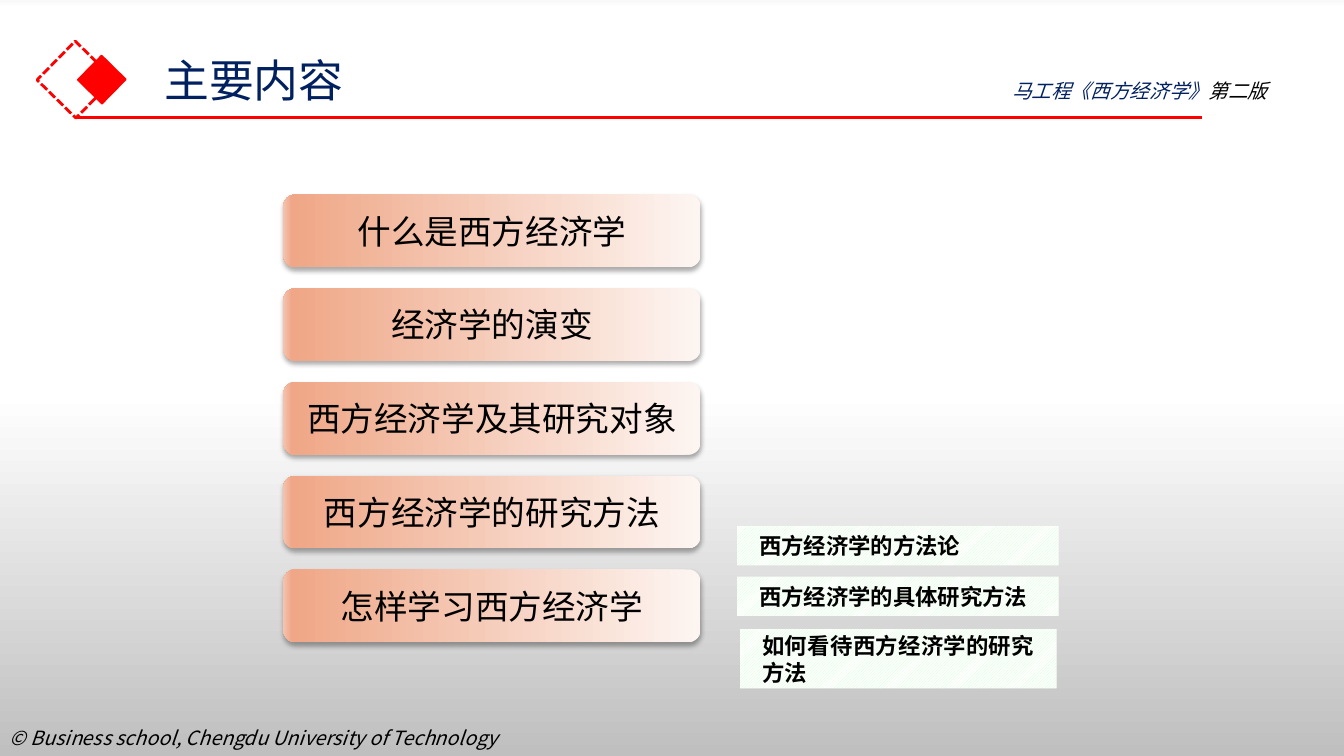
from lxml import etree
from pptx import Presentation
from pptx import util as u
from pptx.dml.color import RGBColor
from pptx.enum import dml, shapes, text
from pptx.oxml.ns import qn

CJK = "Noto Sans CJK SC"
BACKGROUND = [(0, "F9F9F9"), (1, "FFFFFF"), (52, "FFFFFF"), (100, "BFBFBF")]
PEACH = [(0, "FDF5F2"), (98, "EFA787"), (100, "F4C4AF")]
RED, NAVY, BLACK = "FF0000", "002060", "000000"
TOPICS = ["什么是西方经济学", "经济学的演变", "西方经济学及其研究对象",
          "西方经济学的研究方法", "怎样学习西方经济学"]
METHODS = [("西方经济学的方法论", (7.31, 5.22, 3.19, 0.39)),
           ("西方经济学的具体研究方法", (7.31, 5.72, 3.19, 0.39)),
           ("如何看待西方经济学的研究方法", (7.34, 6.24, 3.14, 0.59))]


def rgb(value):
    """Return the colour of a hex string."""
    return RGBColor.from_string(value)


def inches(values):
    """Return the values as a list of lengths."""
    return [u.Inches(v) for v in values]


def child(parent, tag, **attrs):
    """Append a DrawingML element with attributes."""
    el = etree.SubElement(parent, qn(tag))
    for name, value in attrs.items():
        el.set(name, str(value))
    return el


def set_gradient(fill, root, stops, angle):
    """Give the first gradient fill under root its stops and clockwise angle."""
    fill.gradient()
    grad = next(root.iter(qn("a:gradFill")))
    for el in list(grad):
        grad.remove(el)
    gs_list = child(grad, "a:gsLst")
    for pos, color in stops:
        gs = child(gs_list, "a:gs", pos=pos * 1000)
        child(gs, "a:srgbClr", val=color)
    child(grad, "a:lin", ang=angle * 60000, scaled=0)


def write(sp, runs, size, font=CJK, align=text.PP_ALIGN.LEFT,
          anchor=text.MSO_ANCHOR.TOP, **style):
    """Fill a shape with one paragraph of (text, colour) runs."""
    tf = sp.text_frame
    frame = {"word_wrap": True, "auto_size": text.MSO_AUTO_SIZE.NONE,
             "vertical_anchor": anchor}
    for name, value in frame.items():
        setattr(tf, name, value)
    p = tf.paragraphs[0]
    p.alignment = align
    for words, color in runs:
        r = p.add_run()
        r.text = words
        r.font.color.rgb = rgb(color)
        for name, value in {"name": font, "size": u.Pt(size), **style}.items():
            setattr(r.font, name, value)
        child(r.font._element, "a:ea", typeface=CJK)


def add_text(s, box, runs, size, **style):
    """Add a text box."""
    write(s.shapes.add_textbox(*inches(box)), runs, size, **style)


def add_shape(s, kind, box):
    """Add a preset shape with no shadow and no line."""
    sp = s.shapes.add_shape(kind, *inches(box))
    sp.shadow.inherit = False
    sp.line.fill.background()
    return sp


def add_diamond(s, box, width, dash=None):
    """Add a red square turned on its corner, dashed ones being hollow."""
    sp = add_shape(s, shapes.MSO_SHAPE.RECTANGLE, box)
    sp.rotation = 314.5
    if dash:
        sp.fill.background()
    else:
        sp.fill.solid()
        sp.fill.fore_color.rgb = rgb(RED)
    sp.line.color.rgb = rgb(RED)
    sp.line.width = u.Pt(width)
    sp.line.dash_style = dash


def add_rule(s, x1, x2, y):
    """Add the red line under the heading."""
    line = s.shapes.add_connector(shapes.MSO_CONNECTOR.STRAIGHT, *inches((x1, y, x2, y)))
    line.line.color.rgb = rgb(RED)
    line.line.width = u.Pt(2.25)
    child(line._element.spPr, "a:effectLst")


def add_topic(s, box, words):
    """Add a peach rounded button with a soft shadow."""
    sp = add_shape(s, shapes.MSO_SHAPE.ROUNDED_RECTANGLE, box)
    set_gradient(sp.fill, sp._element, PEACH, 180)
    effects = sp._element.spPr.find(qn("a:effectLst"))
    shadow = child(effects, "a:outerShdw", blurRad=u.Pt(3.5), dist=u.Pt(2.2),
                   dir=90 * 60000, algn="ctr", rotWithShape=0)
    child(child(shadow, "a:srgbClr", val=BLACK), "a:alpha", val=32000)
    write(sp, [(words, BLACK)], 24, align=text.PP_ALIGN.CENTER,
          anchor=text.MSO_ANCHOR.MIDDLE)


def add_method(s, box, words):
    """Add a hatched green label."""
    sp = add_shape(s, shapes.MSO_SHAPE.RECTANGLE, box)
    sp.fill.patterned()
    sp.fill.pattern = dml.MSO_PATTERN.LIGHT_UPWARD_DIAGONAL
    sp.fill.fore_color.rgb = rgb("CCFFCC")
    sp.fill.back_color.rgb = rgb("FFFFFF")
    tf = sp.text_frame
    tf.margin_left = tf.margin_right = u.Inches(0.22)
    write(sp, [(words, BLACK)], 16, font="Calibri", align=text.PP_ALIGN.JUSTIFY,
          anchor=text.MSO_ANCHOR.MIDDLE, bold=True)


def add_title(s, box, words):
    """Place and format the title placeholder."""
    sp = s.shapes.title
    for name, value in zip(("left", "top", "width", "height"), inches(box)):
        setattr(sp, name, value)
    write(sp, [(words, NAVY)], 32)


def main():
    """Build the slide and save it."""
    prs = Presentation()
    prs.slide_width, prs.slide_height = inches((13.33, 7.5))
    s = prs.slides.add_slide(prs.slide_layouts[5])
    set_gradient(s.background.fill, s._element, BACKGROUND, 90)
    add_text(s, (0, 7.15, 6.34, 0.56),
             [("© Business school, Chengdu University of Technology", BLACK)], 14, italic=True)
    add_diamond(s, (0.48, 0.52, 0.54, 0.54), 2, dml.MSO_LINE.SQUARE_DOT)
    add_diamond(s, (0.84, 0.62, 0.34, 0.34), 1)
    add_rule(s, 0.75, 11.92, 1.17)
    add_title(s, (1.53, 0.47, 4.96, 0.64), "主要内容")
    add_text(s, (9.94, 0.73, 3.24, 0.34),
             [("马工程《西方经济学》", NAVY), ("第二版", BLACK)], 14, italic=True)
    for i, words in enumerate(TOPICS):
        add_topic(s, (2.81, 1.93 + 0.93 * i, 4.14, 0.72), words)
    for words, box in METHODS:
        add_method(s, box, words)
    prs.save("out.pptx")


if __name__ == "__main__":
    main()
